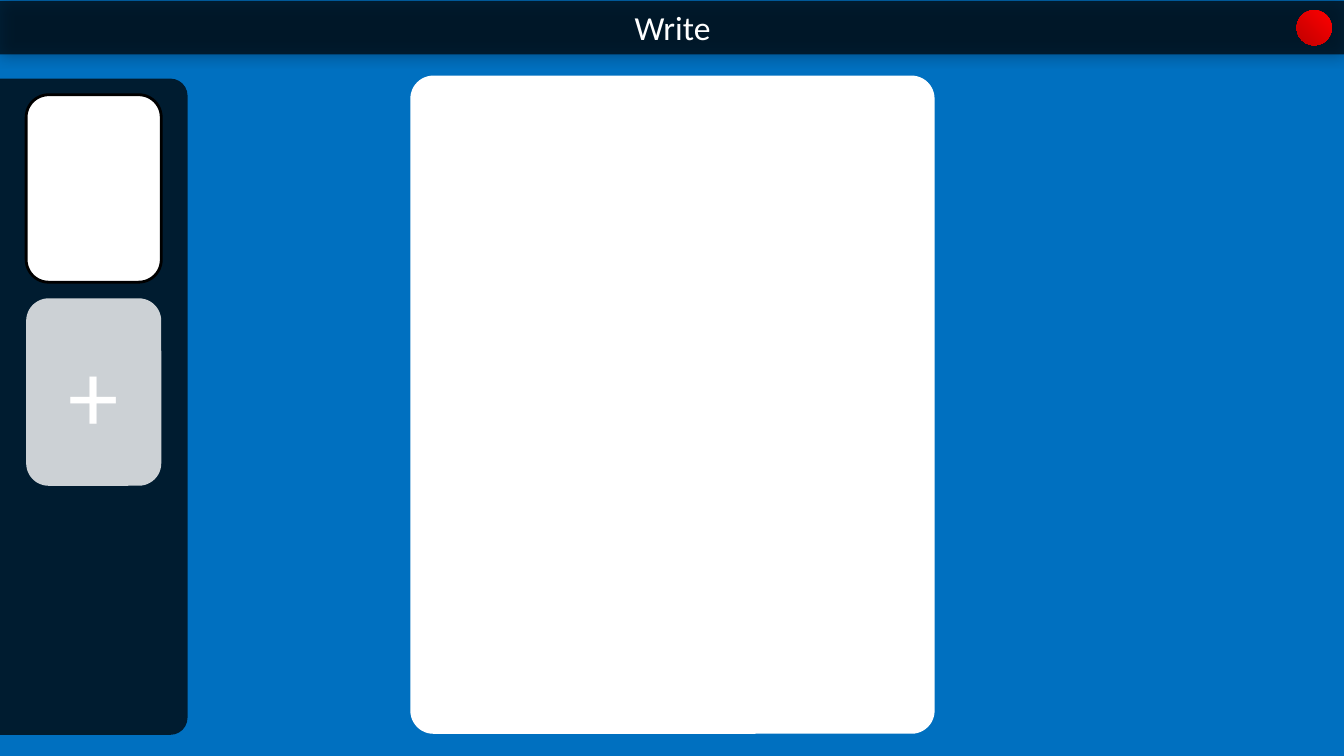
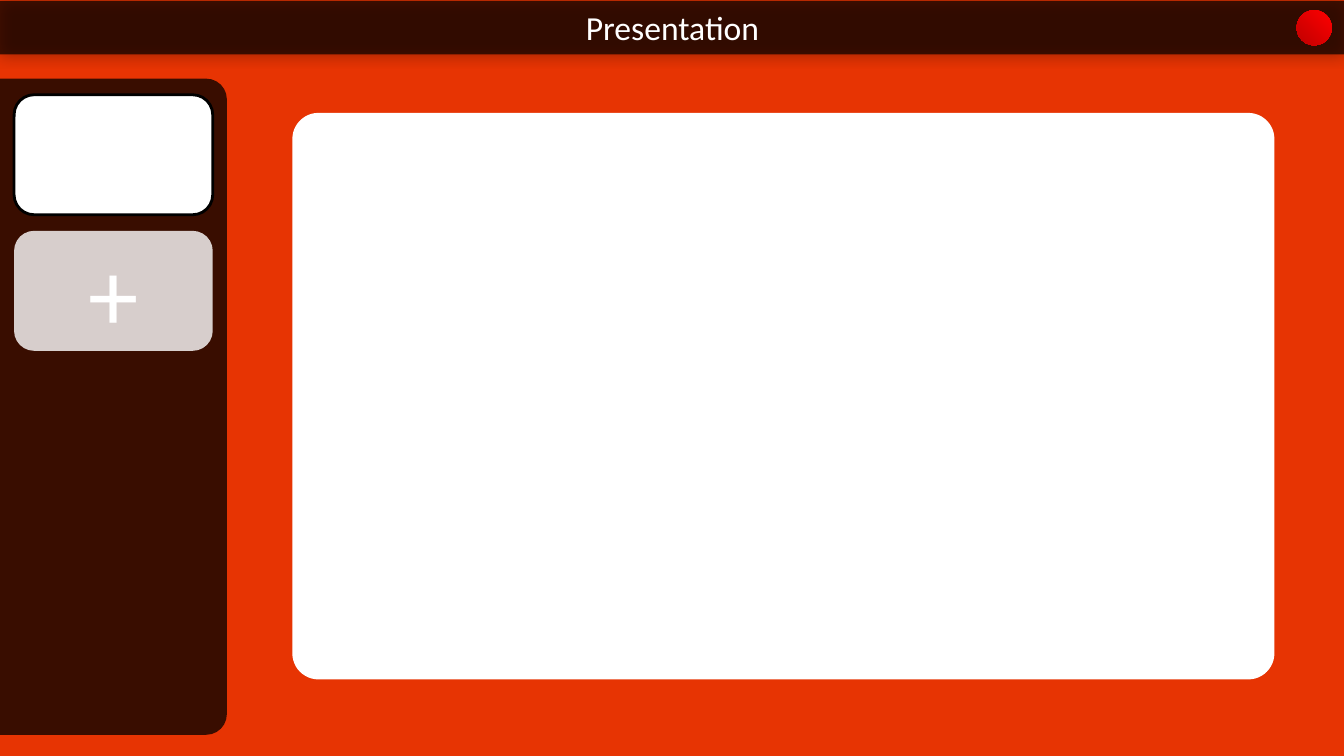
from dataclasses import dataclass

from lxml import etree
from pptx import Presentation
from pptx.dml.color import RGBColor
from pptx.enum.shapes import MSO_SHAPE
from pptx.enum.text import MSO_ANCHOR, PP_ALIGN
from pptx.oxml.ns import qn
from pptx.shapes.autoshape import Shape
from pptx.slide import Slide
from pptx.util import Inches, Pt

BLACK = RGBColor(0x00, 0x00, 0x00)
WHITE = RGBColor(0xFF, 0xFF, 0xFF)
BLUE = RGBColor(0x00, 0x70, 0xC0)
ORANGE = RGBColor(0xE7, 0x34, 0x03)
RED = RGBColor(0xFF, 0x00, 0x00)
DARK_RED = RGBColor(0xC0, 0x00, 0x00)

RECT = MSO_SHAPE.RECTANGLE
ROUND = MSO_SHAPE.ROUNDED_RECTANGLE
TOP_ROUND = MSO_SHAPE.ROUND_2_SAME_RECTANGLE
CENTER = PP_ALIGN.CENTER
MIDDLE = MSO_ANCHOR.MIDDLE

FONT = "Calibri"
WIDTH, HEIGHT = 13.33, 7.5
PANEL_TOP, PANEL_LEN = 0.78, 6.51
THUMB_TOP, THUMB_GAP = 0.94, 0.16

Box = tuple[float, float, float, float]


@dataclass(frozen=True)
class Screen:
    """One app screen: its title, colour, page and side panel."""

    title: str
    color: RGBColor
    page: Box
    curve: float
    panel: float
    thumb: tuple[float, float]


SCREENS = (
    Screen("Write", BLUE, (4.07, 0.75, 5.2, 6.53), 0.044, 1.86, (1.34, 1.86)),
    Screen("Presentation", ORANGE, (2.9, 1.12, 9.74, 5.62), 0.046, 2.25, (1.97, 1.19)),
)


def place(shape: Shape, box: Box) -> None:
    """Move and size a shape, in inches."""
    shape.left, shape.top, shape.width, shape.height = map(Inches, box)


def add_alpha(parent: etree._Element, percent: int) -> None:
    """Set the opacity of a colour element."""
    etree.SubElement(parent, qn("a:alpha"), val=str(percent * 1000))


def add_box(slide: Slide, kind: MSO_SHAPE, box: Box, fill: RGBColor = WHITE,
            alpha: int = 100, curve: tuple[float, ...] = (), line: float = 0) -> Shape:
    """Draw a filled shape, with an outline when line is given."""
    shape = slide.shapes.add_shape(kind, *map(Inches, box))
    shape.shadow.inherit = False
    shape.fill.solid()
    shape.fill.fore_color.rgb = fill
    if alpha < 100:
        add_alpha(shape.fill._xPr.find(qn("a:solidFill"))[0], alpha)
    for i, value in enumerate(curve):
        shape.adjustments[i] = value
    if line:
        shape.line.color.rgb = BLACK
        shape.line.width = Pt(line)
    else:
        shape.line.fill.background()
    return shape


def write(shape: Shape, text: str, size: float, color: RGBColor = WHITE) -> None:
    """Put centred text in a shape."""
    frame = shape.text_frame
    frame.text = text
    frame.word_wrap = True
    frame.vertical_anchor = MIDDLE
    para = frame.paragraphs[0]
    para.alignment = CENTER
    para.font.name = FONT
    para.font.size = Pt(size)
    para.font.color.rgb = color


def add_glow(shape: Shape, blur: float, alpha: int) -> None:
    """Give a shape a soft black shadow on all sides."""
    effects = shape._element.spPr.find(qn("a:effectLst"))
    shadow = etree.SubElement(effects, qn("a:outerShdw"), blurRad=str(Pt(blur)),
                              dist="0", dir="0", algn="ctr", rotWithShape="0")
    color = etree.SubElement(shadow, qn("a:srgbClr"), val=str(BLACK))
    add_alpha(color, alpha)


def add_header(slide: Slide, text: str) -> None:
    """Draw the title bar, its title and the red button."""
    bar = add_box(slide, RECT, (0, 0.01, WIDTH, 0.53), BLACK, 70)
    add_glow(bar, 10, 40)
    title = slide.shapes.title
    place(title, (5.24, 0.02, 2.86, 0.5))
    write(title, text, 24)
    title._element.addprevious(bar._element)
    button = add_box(slide, ROUND, (12.86, 0.1, 0.35, 0.35), curve=(0.5,))
    button.fill.gradient()
    button.fill.gradient_angle = 225
    for stop, color in zip(button.fill.gradient_stops, (RED, DARK_RED)):
        stop.color.rgb = color
    for stop, spot in zip(button.fill.gradient_stops, (0, 1)):
        stop.position = spot


def add_panel(slide: Slide, width: float, thumb: tuple[float, float]) -> None:
    """Draw the side panel with a page thumbnail and an add button."""
    shift = (PANEL_LEN - width) / 2
    panel = add_box(slide, TOP_ROUND, (-shift, PANEL_TOP + shift, PANEL_LEN, width),
                    BLACK, 75, (0.091, 0))
    panel.rotation = 90
    wide, high = thumb
    left = (width - wide) / 2
    add_box(slide, ROUND, (left, THUMB_TOP, wide, high), line=2)
    more = add_box(slide, ROUND, (left, THUMB_TOP + high + THUMB_GAP, wide, high), alpha=80)
    write(more, "+", 72)


def main() -> None:
    """Build and save the deck."""
    deck = Presentation()
    deck.slide_width, deck.slide_height = Inches(WIDTH), Inches(HEIGHT)
    for screen in SCREENS:
        slide = deck.slides.add_slide(deck.slide_layouts[5])
        slide.background.fill.solid()
        slide.background.fill.fore_color.rgb = screen.color
        add_header(slide, screen.title)
        add_box(slide, ROUND, screen.page, curve=(screen.curve,))
        add_panel(slide, screen.panel, screen.thumb)
    deck.save("out.pptx")


if __name__ == "__main__":
    main()
